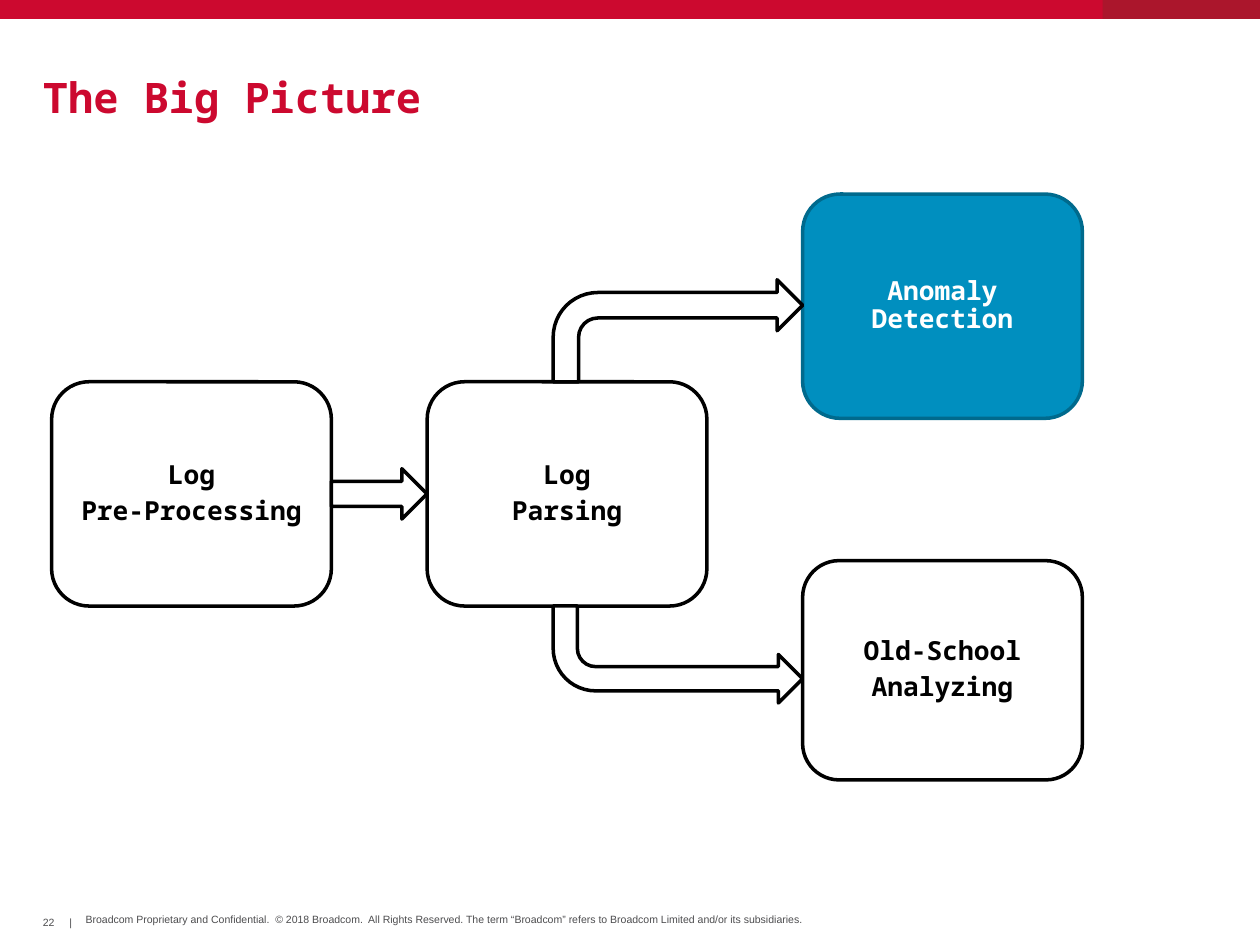
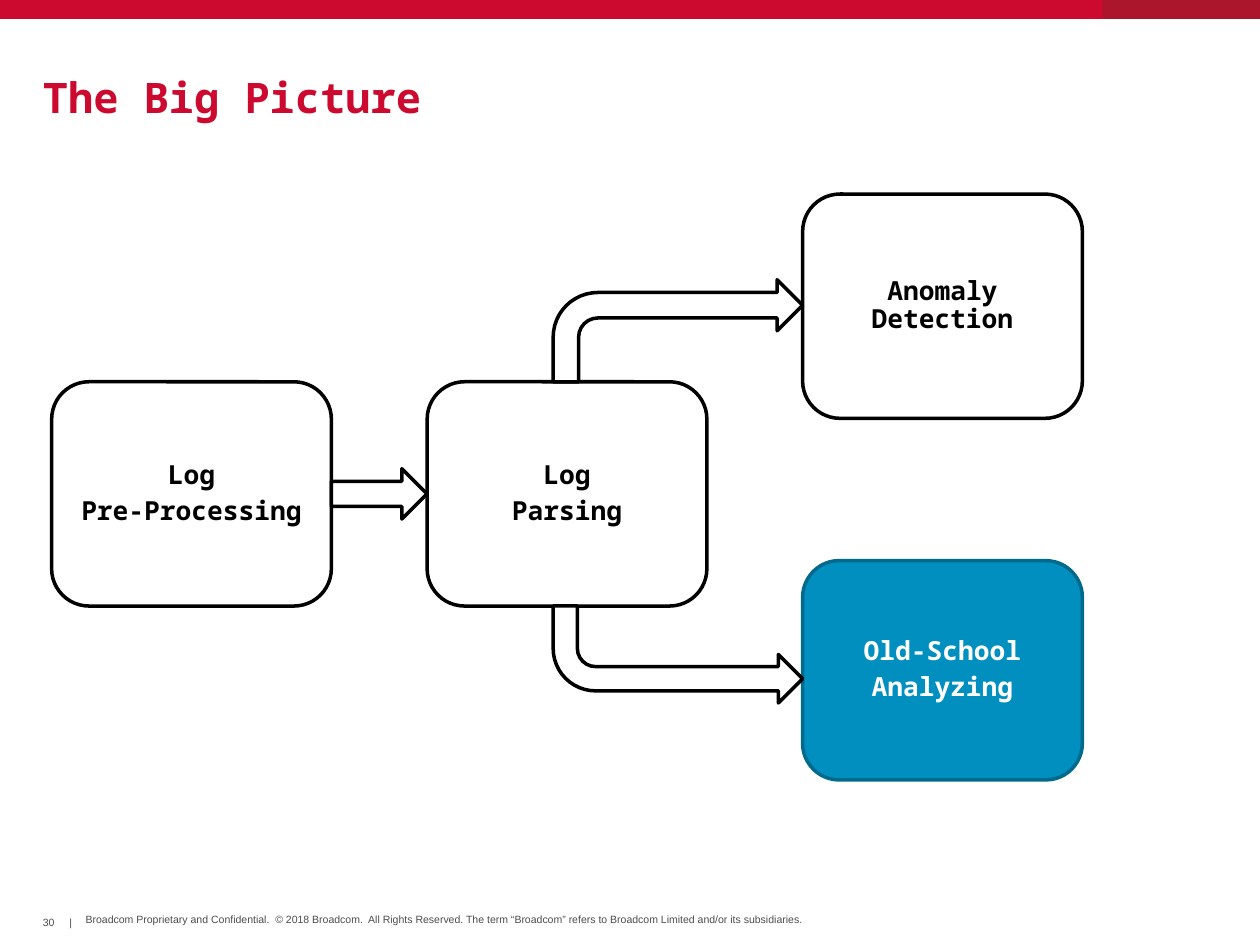
from pptx import Presentation
from pptx.dml.color import RGBColor
from pptx.enum.shapes import MSO_SHAPE
from pptx.enum.text import MSO_ANCHOR, MSO_AUTO_SIZE, PP_ALIGN
from pptx.util import Inches, Pt

RECT, ROUNDED = MSO_SHAPE.RECTANGLE, MSO_SHAPE.ROUNDED_RECTANGLE
BENT_ARROW, RIGHT_ARROW = MSO_SHAPE.BENT_ARROW, MSO_SHAPE.RIGHT_ARROW
MIDDLE, TOP = MSO_ANCHOR.MIDDLE, MSO_ANCHOR.TOP
LEFT, CENTER = PP_ALIGN.LEFT, PP_ALIGN.CENTER
NO_AUTOFIT = MSO_AUTO_SIZE.NONE

SLIDE_W, SLIDE_H = 10, 7.5
MARGIN = 0.34
TITLE_ONLY = 5
MONO, SANS = "Noto Sans Mono", "Arial"
RED, DARK_RED = "CC092F", "AB162C"
BLUE, DARK_BLUE = "008FBF", "006A8D"
WHITE, BLACK, GREY = "FFFFFF", "000000", "4D4D4F"

TITLE = "The Big Picture"
COPYRIGHT = ("Broadcom Proprietary and Confidential.  © 2018 Broadcom.  All Rights Reserved. "
             "The term “Broadcom” refers to Broadcom Limited and/or its subsidiaries.")

DIAGRAM = (0.41, 1.54, 8.18, 4.65)
STEP_W, STEP_H = 2.22, 1.78
# Step: (column, top within the diagram, height, text)
STEPS = {
    "pre-processing": (0, 1.49, STEP_H, "Log\nPre-Processing"),
    "parsing": (1, 1.49, STEP_H, "Log\nParsing"),
    "anomaly": (2, 0, STEP_H, "Anomaly Detection"),
    "old-school": (2, 2.91, 1.74, "Old-School\nAnalyzing"),
}
# Slide: (page number, highlighted step)
PAGES = [("22", "anomaly"), ("30", "old-school")]


def rgb(hex_colour):
    return RGBColor.from_string(hex_colour)


def inches(box):
    return [Inches(length) for length in box]


def format_font(paragraph, name, size, colour, bold=False):
    font = paragraph.font
    font.name, font.size, font.bold = name, Pt(size), bold
    font.color.rgb = rgb(colour)


def clear_frame(frame, anchor):
    """Remove the margins of a text frame and anchor its text."""
    frame.margin_left = frame.margin_right = frame.margin_top = frame.margin_bottom = 0
    frame.vertical_anchor = anchor
    frame.auto_size = NO_AUTOFIT


def add_outline(slide, kind, box, fill, line=None):
    """Add a preset shape; without a line colour it has no border."""
    shape = slide.shapes.add_shape(kind, *inches(box))
    shape.shadow.inherit = False
    shape.fill.solid()
    shape.fill.fore_color.rgb = rgb(fill)
    if line:
        shape.line.color.rgb = rgb(line)
        shape.line.width = Pt(2)
    else:
        shape.line.fill.background()
    return shape


def add_bands(slide):
    height = SLIDE_H / 50
    accent_w = SLIDE_W / 8
    add_outline(slide, RECT, (0, 0, SLIDE_W, height), RED)
    add_outline(slide, RECT, (SLIDE_W - accent_w, 0, accent_w, height), DARK_RED)


def add_footer(slide, page_number):
    for left, top, width, anchor, text in (
        (MARGIN, 7.27, 0.1, MIDDLE, page_number),
        (0.55, 7.27, 0.02, MIDDLE, "|"),
        (2 * MARGIN, 7.25, 5.77, TOP, COPYRIGHT),
    ):
        frame = slide.shapes.add_textbox(*inches((left, top, width, 0.1))).text_frame
        clear_frame(frame, anchor)
        frame.word_wrap = False
        frame.text = text
        format_font(frame.paragraphs[0], SANS, 6, GREY)


def set_title(slide):
    title = slide.shapes.title
    title.left, title.top, title.width, title.height = inches(
        (MARGIN, 0.63, SLIDE_W - 2 * MARGIN, 0.34))
    clear_frame(title.text_frame, MIDDLE)
    title.text_frame.text = TITLE
    paragraph = title.text_frame.paragraphs[0]
    paragraph.alignment = LEFT
    paragraph.line_spacing = 0.85
    format_font(paragraph, MONO, 24, RED, bold=True)


def add_step(slide, box, text, highlighted):
    fill, line, colour = (BLUE, DARK_BLUE, WHITE) if highlighted else (WHITE, BLACK, BLACK)
    frame = add_outline(slide, ROUNDED, box, fill, line).text_frame
    frame.word_wrap = True
    frame.vertical_anchor = MIDDLE
    frame.text = text
    for index, paragraph in enumerate(frame.paragraphs):
        paragraph.alignment = CENTER
        paragraph.line_spacing = 0.9
        if index:
            paragraph.space_before = Pt(4.5)
        format_font(paragraph, MONO, 15, colour, bold=True)


def add_arrows(slide, parsing, gap):
    """Lead into the parsing step from the left, and out of it up and down to the right."""
    left, top, width, height = parsing
    entry_h, up_h, down_h = 0.4, 0.81, 0.77
    stem = left + 1
    reach = left + width + gap - stem
    add_outline(slide, BENT_ARROW, (stem, top - up_h, reach, up_h), WHITE, BLACK)
    down = add_outline(slide, BENT_ARROW, (stem, top + height, reach, down_h), WHITE, BLACK)
    down._element.spPr.xfrm.set("flipV", "1")
    entry_top = top + (height - entry_h) / 2
    add_outline(slide, RIGHT_ARROW, (left - gap, entry_top, gap, entry_h), WHITE, BLACK)


def add_diagram(slide, box, highlighted_step):
    left, top, width, _ = box
    pitch = (width - STEP_W) / 2
    boxes = {}
    for step, (column, offset, height, text) in STEPS.items():
        boxes[step] = (left + column * pitch, top + offset, STEP_W, height)
        add_step(slide, boxes[step], text, step == highlighted_step)
    add_arrows(slide, boxes["parsing"], pitch - STEP_W)


def main():
    prs = Presentation()
    prs.slide_width, prs.slide_height = inches((SLIDE_W, SLIDE_H))
    for page_number, highlighted_step in PAGES:
        slide = prs.slides.add_slide(prs.slide_layouts[TITLE_ONLY])
        add_bands(slide)
        add_footer(slide, page_number)
        set_title(slide)
        add_diagram(slide, DIAGRAM, highlighted_step)
    prs.save("out.pptx")


if __name__ == "__main__":
    main()
